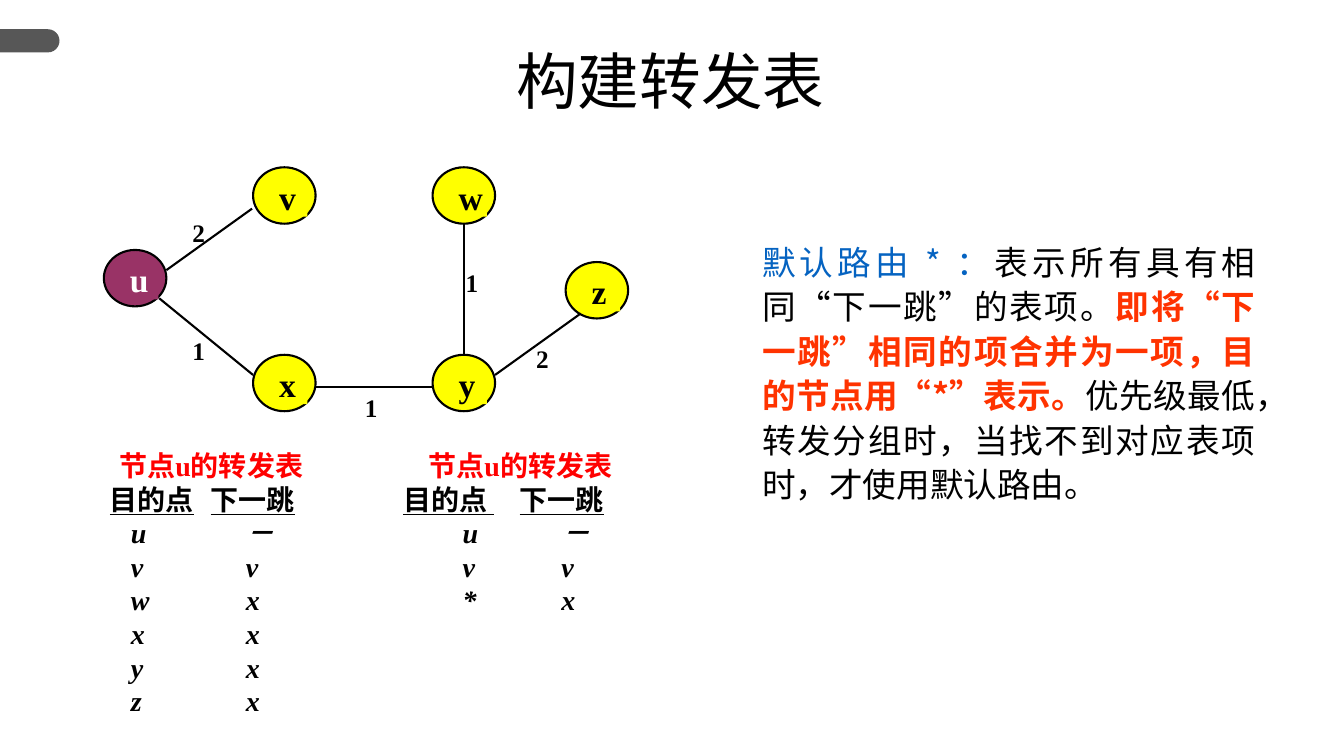
from lxml.etree import SubElement
from pptx import Presentation
from pptx.dml.color import RGBColor
from pptx.enum.shapes import MSO_CONNECTOR, MSO_SHAPE
from pptx.enum.text import MSO_ANCHOR, PP_ALIGN
from pptx.oxml.ns import qn
from pptx.util import Inches, Pt

# Content
TITLE = "构建转发表"
DEFAULT_ROUTE = [
    ("默认路由 * ：", {"color": "link"}),
    ("表示所有具有相同“下一跳”的表项。", {}),
    ("即将“下一跳”相同的项合并为一项，目的节点用“*”表示。", {"color": "accent", "bold": True}),
    ("优先级最低，转发分组时，当找不到对应表项时，才使用默认路由。", {}),
]
TABLE_TITLE = "节点u的转发表"
HEADERS = ("目的点", "下一跳")
FULL_ROWS = [("u", "－"), ("v", "v"), ("w", "x"), ("x", "x"), ("y", "x"), ("z", "x")]
MERGED_ROWS = [("u", "－"), ("v", "v"), ("*", "x")]
NODES = {  # name: left, top of the circle
    "u": (1.03, 2.48), "y": (4.29, 3.52), "x": (2.51, 3.52),
    "w": (4.29, 1.66), "v": (2.51, 1.66), "z": (5.61, 2.6),
}
LINKS = [  # start, end, cost, left and top of the cost label
    ((2.5, 2.07), (1.65, 2.68), "2", (1.81, 2.11)),
    ((4.6, 2.22), (4.6, 3.52), "1", (4.52, 2.6)),
    ((5.76, 3.11), (4.91, 3.72), "2", (5.22, 3.36)),
    ((1.58, 2.96), (2.51, 3.72), "1", (1.81, 3.28)),
    ((3.13, 3.84), (4.29, 3.84), "1", (3.52, 3.84)),
]

THEME = {
    "color": {"text": "000000", "white": "FFFFFF", "link": "0563C1", "accent": "FF3300",
              "heading": "FF0000", "source": "993366", "node": "FFFF00", "tab": "575757"},
    "size": {"title": 44, "body": 24, "node": 24, "table": 20, "cost": 18},
    "cjk": "Noto Sans CJK SC", "sans": "Arial", "serif": "Times New Roman",
}

presentation = Presentation()
presentation.slide_width, presentation.slide_height = Inches(13.33), Inches(7.5)
slide = presentation.slides.add_slide(presentation.slide_layouts[6])


def rgb(name):
    return RGBColor.from_string(THEME["color"][name])


def add_shape(kind, left, top, width, height, fill, line=None):
    shape = slide.shapes.add_shape(kind, Inches(left), Inches(top), Inches(width), Inches(height))
    shape.shadow.inherit = False
    shape.fill.solid()
    shape.fill.fore_color.rgb = rgb(fill)
    if line:
        shape.line.color.rgb, shape.line.width = rgb(line), Pt(1.5)
    else:
        shape.line.fill.background()
    return shape


def add_box(left, top, width, height):
    return slide.shapes.add_textbox(Inches(left), Inches(top), Inches(width), Inches(height))


def write(shape, lines, *, size, font, bold=False, align=PP_ALIGN.LEFT, spacing=1.0,
          wrap=True, top=0.05):
    """Each line is (runs, paragraph options); each run is (text, run options)."""
    frame = shape.text_frame
    frame.word_wrap, frame.vertical_anchor = wrap, MSO_ANCHOR.TOP
    frame.margin_left = frame.margin_right = Inches(0.1)
    frame.margin_top, frame.margin_bottom = Inches(top), Inches(0.05)
    for index, (runs, options) in enumerate(lines):
        paragraph = frame.add_paragraph() if index else frame.paragraphs[0]
        paragraph.alignment = options.get("align", align)
        paragraph.line_spacing = spacing
        if "tabs" in options:
            tab_list = SubElement(paragraph._p.get_or_add_pPr(), qn("a:tabLst"))
            for stop in options["tabs"]:
                SubElement(tab_list, qn("a:tab"), pos=str(Inches(stop)), algn="l")
        for text, style in runs:
            run = paragraph.add_run()
            run.text = text
            run.font.size, run.font.name = Pt(THEME["size"][size]), font
            run.font.bold = style.get("bold", bold)
            run.font.italic = style.get("italic", False)
            run.font.underline = style.get("underline", False)
            run.font.color.rgb = rgb(style.get("color", "text"))
            properties = run._r.get_or_add_rPr()
            SubElement(properties, qn("a:ea"), typeface=THEME["cjk"])
            if "tracking" in style:
                properties.set("spc", str(style["tracking"]))


def write_forwarding_table(shape, rows, header_gap, header_tabs, row_tabs):
    underline = {"underline": True}
    header = [("\t", {}), (HEADERS[0], underline), header_gap, (HEADERS[1], underline)]
    lines = [([(TABLE_TITLE, {"color": "heading"})], {"align": PP_ALIGN.CENTER}),
             (header, {"tabs": header_tabs})]
    lines += [([(f"\t{target}\t{hop}", {"italic": True})], {"tabs": row_tabs})
              for target, hop in rows]
    write(shape, lines, size="table", font=THEME["serif"], bold=True, spacing=Pt(24))


# Side tab and title
side_tab = add_shape(MSO_SHAPE.ROUND_2_SAME_RECTANGLE, 0.18, 0.11, 0.23, 0.59, "tab")
side_tab.adjustments[0] = 0.5
side_tab.rotation = 90
write(add_box(0.04, 0.41, 13.22, 1.25), [([(TITLE, {})], {})], size="title",
      font=THEME["sans"], align=PP_ALIGN.CENTER, spacing=Pt(47.5), top=0.09)

# Explanation
write(add_box(7.46, 2.28, 5.09, 2.55), [(DEFAULT_ROUTE, {})], size="body",
      font=THEME["cjk"], align=PP_ALIGN.JUSTIFY, spacing=Pt(31.7), top=0.08)

# Forwarding tables: full, then merged with the default route
write_forwarding_table(add_box(0.14, 4.4, 3.91, 2.89), FULL_ROWS, ("\t", {}),
                       (0.85, 1.85), (1.06, 2.2))
write_forwarding_table(add_shape(MSO_SHAPE.RECTANGLE, 3.45, 4.4, 3.42, 2, "white"), MERGED_ROWS,
                       (" ", {"underline": True, "tracking": 1860}), (0.45,), (1.04, 2.02))

# Link costs
for _, _, cost, (left, top) in LINKS:
    write(add_box(left, top, 0.39, 0.37), [([(cost, {})], {})], size="cost",
          font=THEME["serif"], bold=True)

# Nodes: a circle with its label on top
for name, (left, top) in NODES.items():
    fill, color = ("source", "white") if name == "u" else ("node", "text")
    add_shape(MSO_SHAPE.OVAL, left, top, 0.62, 0.56, fill, line="text")
    label = add_shape(MSO_SHAPE.RECTANGLE, left + 0.16, top + 0.12, 0.38, 0.37, fill)
    write(label, [([(name, {"color": color})], {})], size="node", font=THEME["serif"],
          bold=True, spacing=0.8, wrap=False)

# Links
for start, end, _, _ in LINKS:
    link = slide.shapes.add_connector(MSO_CONNECTOR.STRAIGHT, *map(Inches, start + end))
    link.line.color.rgb, link.line.width = rgb("text"), Pt(1.5)
    SubElement(link._element.spPr, qn("a:effectLst"))

presentation.save("out.pptx")
